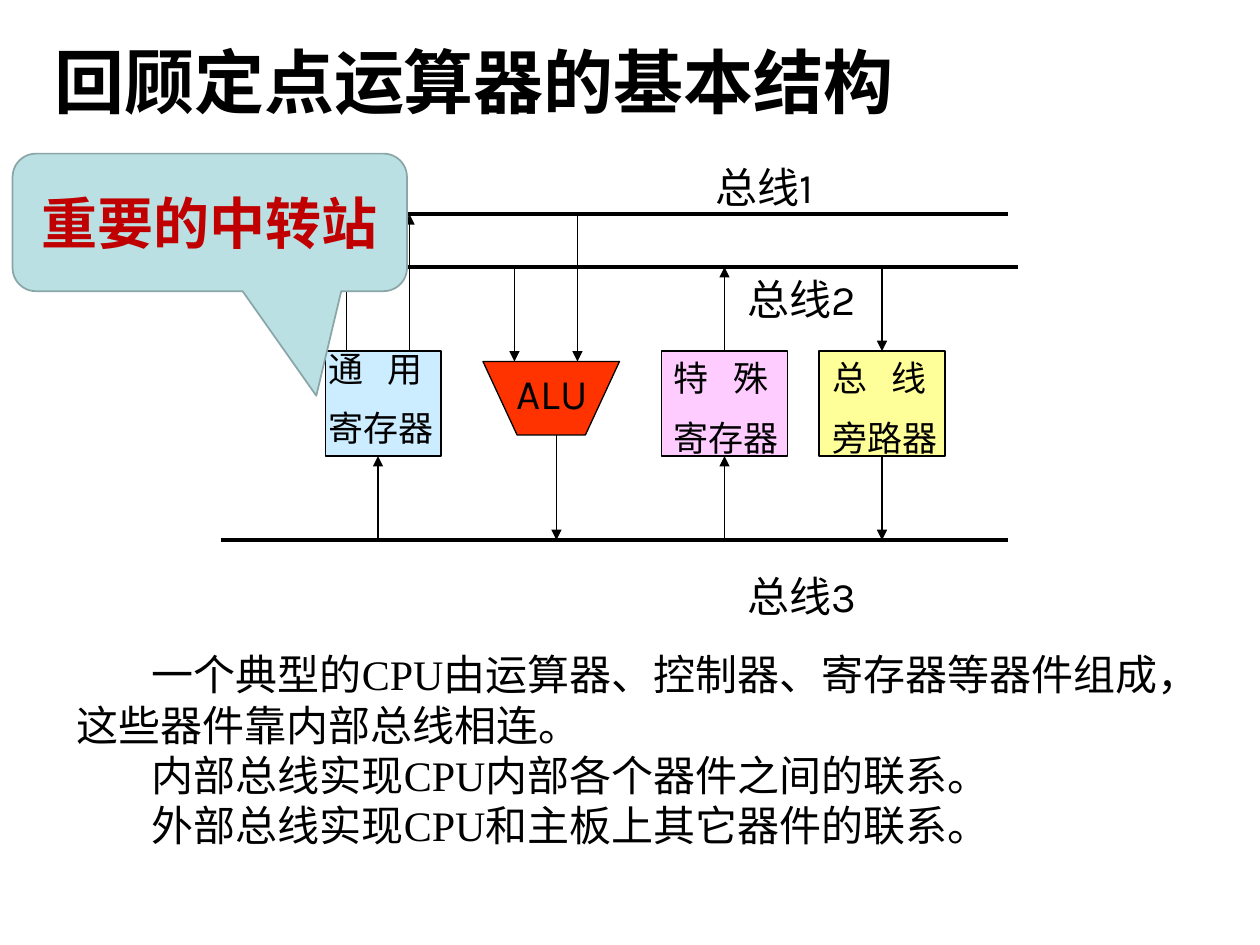
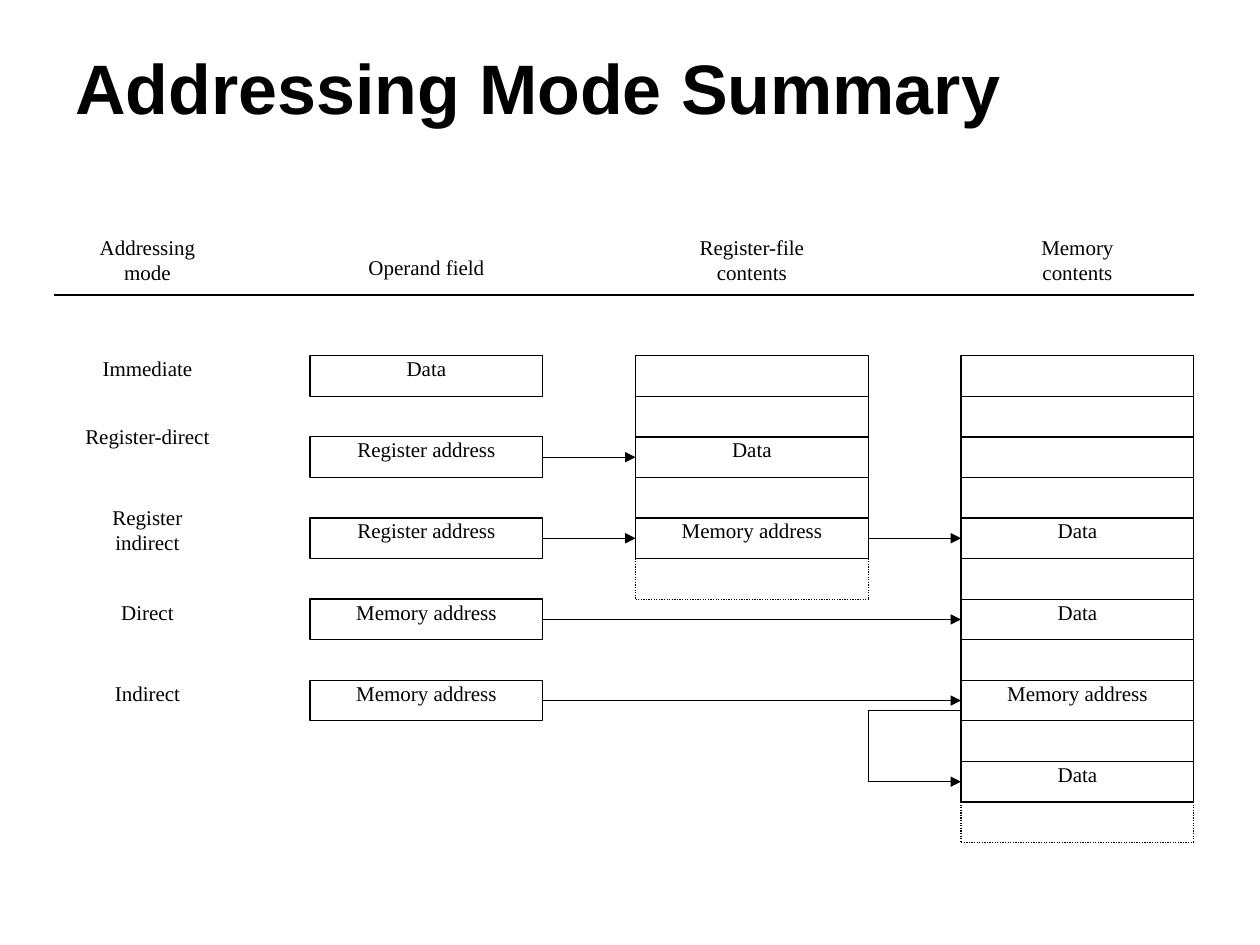
from lxml import etree
from pptx import Presentation
from pptx.dml.color import RGBColor
from pptx.enum import dml, shapes, text
from pptx.oxml import ns
from pptx.util import Pt

BLACK = RGBColor(0x00, 0x00, 0x00)
WHITE = RGBColor(0xFF, 0xFF, 0xFF)
RED = RGBColor(0xC0, 0x00, 0x00)
ALU_RED = RGBColor(0xFF, 0x33, 0x00)
YELLOW = RGBColor(0xFF, 0xFF, 0x99)
PINK = RGBColor(0xFF, 0xCC, 0xFF)
SKY = RGBColor(0xCC, 0xEC, 0xFF)
TEAL = RGBColor(0xBB, 0xE0, 0xE3)
TEAL_EDGE = RGBColor(0x8A, 0xA6, 0xA8)
HEADING, DIAGRAM, BODY = "Arial", "Karla", "Times New Roman"
INSETS, FLUSH = (7.2, 3.6), (0, 0)
THIN = 0.75
LEFT, CENTER = text.PP_ALIGN.LEFT, text.PP_ALIGN.CENTER
TOP, MIDDLE = text.MSO_ANCHOR.TOP, text.MSO_ANCHOR.MIDDLE


class Deck:
    """Hold the shared style and the current slide, and draw elements in points."""

    def __init__(self):
        self.deck = Presentation()
        self.deck.slide_width, self.deck.slide_height = Pt(720), Pt(540)
        self.slide = None

    def new_slide(self, title, *area):
        self.slide = self.deck.slides.add_slide(self.deck.slide_layouts[6])
        self.label(title, *area, size=40, font=HEADING, bold=True, anchor=MIDDLE)

    def fill_text(self, frame, words, size=12, font=BODY, color=BLACK, bold=False,
                  align=LEFT, anchor=TOP, insets=INSETS, gap=0, indent=0, tab=0):
        frame.word_wrap = True
        frame.vertical_anchor = anchor
        frame.margin_left = frame.margin_right = Pt(insets[0])
        frame.margin_top = frame.margin_bottom = Pt(insets[1])
        for number, line in enumerate(words.split("\n")):
            paragraph = frame.add_paragraph() if number else frame.paragraphs[0]
            paragraph.text = line
            paragraph.alignment = align
            style = paragraph.font
            style.size, style.name, style.bold = Pt(size), font, bold
            style.color.rgb = color
            if number and gap:
                paragraph.space_before = Pt(gap)
            properties = paragraph._p.get_or_add_pPr()
            if indent:
                properties.set("marL", "0")
                properties.set("indent", str(Pt(indent)))
            if tab:
                stops = etree.Element(ns.qn("a:tabLst"))
                etree.SubElement(stops, ns.qn("a:tab"), pos=str(Pt(tab)), algn="l")
                properties.insert_element_before(stops, "a:defRPr", "a:extLst")

    def label(self, words, *area, **style):
        box = self.slide.shapes.add_textbox(*map(Pt, area))
        self.fill_text(box.text_frame, words, **style)

    def paint(self, shape, fill, edge=BLACK, weight=THIN):
        shape.shadow.inherit = False
        if fill is None:
            shape.fill.background()
        else:
            shape.fill.solid()
            shape.fill.fore_color.rgb = fill
        shape.line.color.rgb = edge
        shape.line.width = Pt(weight)

    def box(self, fill, *area, words="", **style):
        shape = self.slide.shapes.add_shape(shapes.MSO_SHAPE.RECTANGLE, *map(Pt, area))
        self.paint(shape, fill)
        if words:
            self.fill_text(shape.text_frame, words, **style)

    def callout(self, words, area, tip, **style):
        shape = self.slide.shapes.add_shape(
            shapes.MSO_SHAPE.ROUNDED_RECTANGULAR_CALLOUT, *map(Pt, area))
        for place, value in enumerate(tip):
            shape.adjustments[place] = value
        self.paint(shape, TEAL, TEAL_EDGE, 1)
        self.fill_text(shape.text_frame, words, **style)

    def polygon(self, fill, corners):
        points = [(Pt(x), Pt(y)) for x, y in corners]
        builder = self.slide.shapes.build_freeform(*points[0], scale=1.0)
        builder.add_line_segments(points[1:], close=True)
        self.paint(builder.convert_to_shape(), fill)

    def line(self, x1, y1, x2, y2, weight=THIN, arrow=False, dotted=False):
        link = self.slide.shapes.add_connector(
            shapes.MSO_CONNECTOR.STRAIGHT, *map(Pt, (x1, y1, x2, y2)))
        link.line.color.rgb = BLACK
        link.line.width = Pt(weight)
        if dotted:
            link.line.dash_style = dml.MSO_LINE.ROUND_DOT
        properties = link._element.spPr
        if arrow:
            outline = properties.find(ns.qn("a:ln"))
            etree.SubElement(outline, ns.qn("a:tailEnd"), type="triangle")
        etree.SubElement(properties, ns.qn("a:effectLst"))


def arithmetic_unit(deck):
    deck.new_slide("回顾定点运算器的基本结构", 24, 13, 612, 66)
    bus1, bus2, bus3 = 122.4, 152.6, 308.6
    unit_top, unit_bottom = 200.6, 260.6
    alu_top, alu_bottom = 206.6, 248.6
    units = [
        ("总\t线\n旁路器", YELLOW, 468, 72, 468.5, 200.3, 108),
        ("特\t殊\n寄存器", PINK, 378, 72, 378, 200.3, 90),
        ("通\t用\n寄存器", SKY, 186, 66, 180.5, 195, 102),
    ]
    for name, fill, left, width, text_left, text_top, text_width in units:
        deck.box(fill, left, unit_top, width, unit_bottom - unit_top)
        deck.label(name, text_left, text_top, text_width, 68,
                   size=20, font=DIAGRAM, gap=10, tab=34)
    deck.polygon(ALU_RED, [(276, alu_top), (295.5, alu_bottom),
                           (334.5, alu_bottom), (354, alu_top)])
    deck.label("ALU", 288, alu_top, 90, 36, size=24, font=DIAGRAM)

    for bus, right in ((bus1, 576), (bus2, 582), (bus3, 576)):
        deck.line(126, bus, right, bus, weight=2.25)
    flows = [
        (198, unit_top, bus2), (234, unit_top, bus1), (216, bus3, unit_bottom),
        (294, bus2, alu_top), (330, bus1, alu_top), (318, alu_bottom, bus3),
        (414, unit_top, bus2), (414, bus3, unit_bottom),
        (504, bus2, unit_top), (504, unit_bottom, bus3),
    ]
    for x, start, end in flows:
        deck.line(x, start, x, end, arrow=True)
    for name, left, top in (("总线1", 402, 88.5), ("总线2", 420, 152.6), ("总线3", 420, 322.6)):
        deck.label(name, left, top, 97, 36, size=24, font=DIAGRAM)

    deck.callout("重要的中转站", (7.2, 87.8, 225.4, 78.6), (0.27, 1.26, 0.17),
                 size=32, font=HEADING, color=RED, bold=True, align=CENTER, anchor=MIDDLE)
    deck.label("一个典型的CPU由运算器、控制器、寄存器等器件组成，这些器件靠内部总线相连。\n"
               "内部总线实现CPU内部各个器件之间的联系。\n"
               "外部总线实现CPU和主板上其它器件的联系。",
               36.7, 367.2, 659, 124, size=24, indent=43)


def addressing_modes(deck):
    deck.new_slide("Addressing Mode Summary", 36, 21.6, 648, 55.4)
    row, width, top = 23.18, 133, 203.3
    modes_left, modes_width = 31, 106.5
    operands, registers, memory = (177.2 + 186 * column for column in range(3))
    rule = 168.5
    centered = dict(align=CENTER, insets=FLUSH)

    def at(rows):
        return top + rows * row

    headers = [
        ("Addressing\nmode", modes_left, modes_width, 134),
        ("Operand field", operands, width, 145.5),
        ("Register-file\ncontents", registers, width, 134),
        ("Memory\ncontents", memory, width, 134),
    ]
    for words, left, span, header_top in headers:
        deck.label(words, left, header_top, span, rule - header_top, **centered)
    deck.line(modes_left, rule, memory + width, rule, weight=1)

    modes = [
        ("Immediate", 0, "Data"),
        ("Register-direct", 1.66, "Register address"),
        ("Register\nindirect", 3.66, "Register address"),
        ("Direct", 6, "Memory address"),
        ("Indirect", 8, "Memory address"),
    ]
    for number, (mode, mode_row, operand) in enumerate(modes):
        deck.label(mode, modes_left, at(mode_row), modes_width, row, **centered)
        deck.box(WHITE, operands, at(2 * number), width, row, words=operand, **centered)

    stores = [
        (registers, 5, {2: "Data", 4: "Memory address"}),
        (memory, 11, {4: "Data", 6: "Data", 8: "Memory address", 10: "Data"}),
    ]
    for left, count, cells in stores:
        right = left + width
        deck.box(None, left, top, width, count * row)
        for number in range(1, count):
            deck.line(left, at(number), right, at(number))
        for number, words in cells.items():
            deck.label(words, left, at(number), width, row, **centered)
        for side in (left, right):
            deck.line(side, at(count), side, at(count + 1), dotted=True)
        deck.line(left, at(count + 1), right, at(count + 1), dotted=True)

    lookups = [
        (operands, registers, 2.5), (operands, registers, 4.5), (registers, memory, 4.5),
        (operands, memory, 6.5), (operands, memory, 8.5),
    ]
    for source, target, rows in lookups:
        deck.line(source + width, at(rows), target, at(rows), arrow=True)
    bend = registers + width
    deck.line(memory, at(8.75), bend, at(8.75))
    deck.line(bend, at(8.75), bend, at(10.5))
    deck.line(bend, at(10.5), memory, at(10.5), arrow=True)


def main():
    deck = Deck()
    arithmetic_unit(deck)
    addressing_modes(deck)
    deck.deck.save("out.pptx")


if __name__ == "__main__":
    main()
